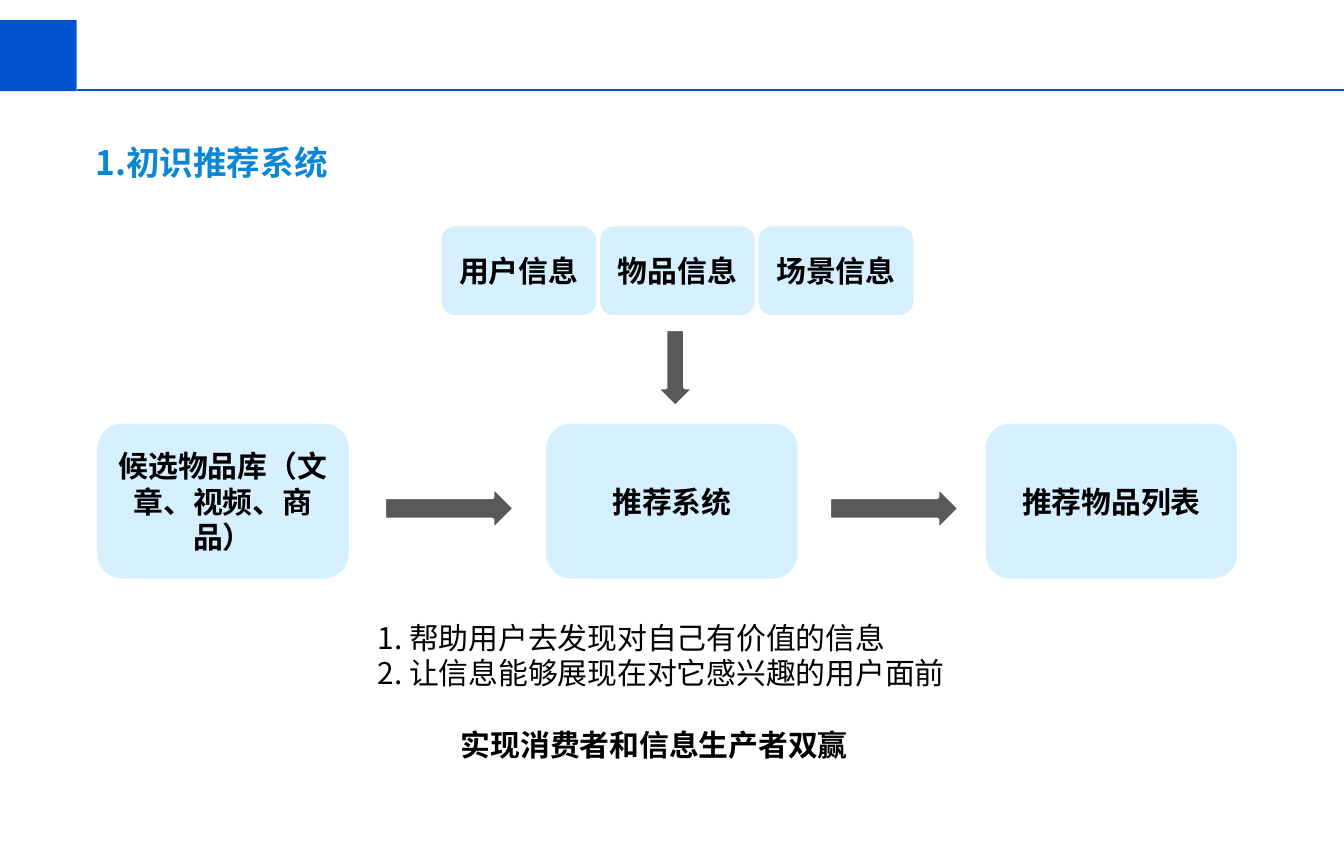
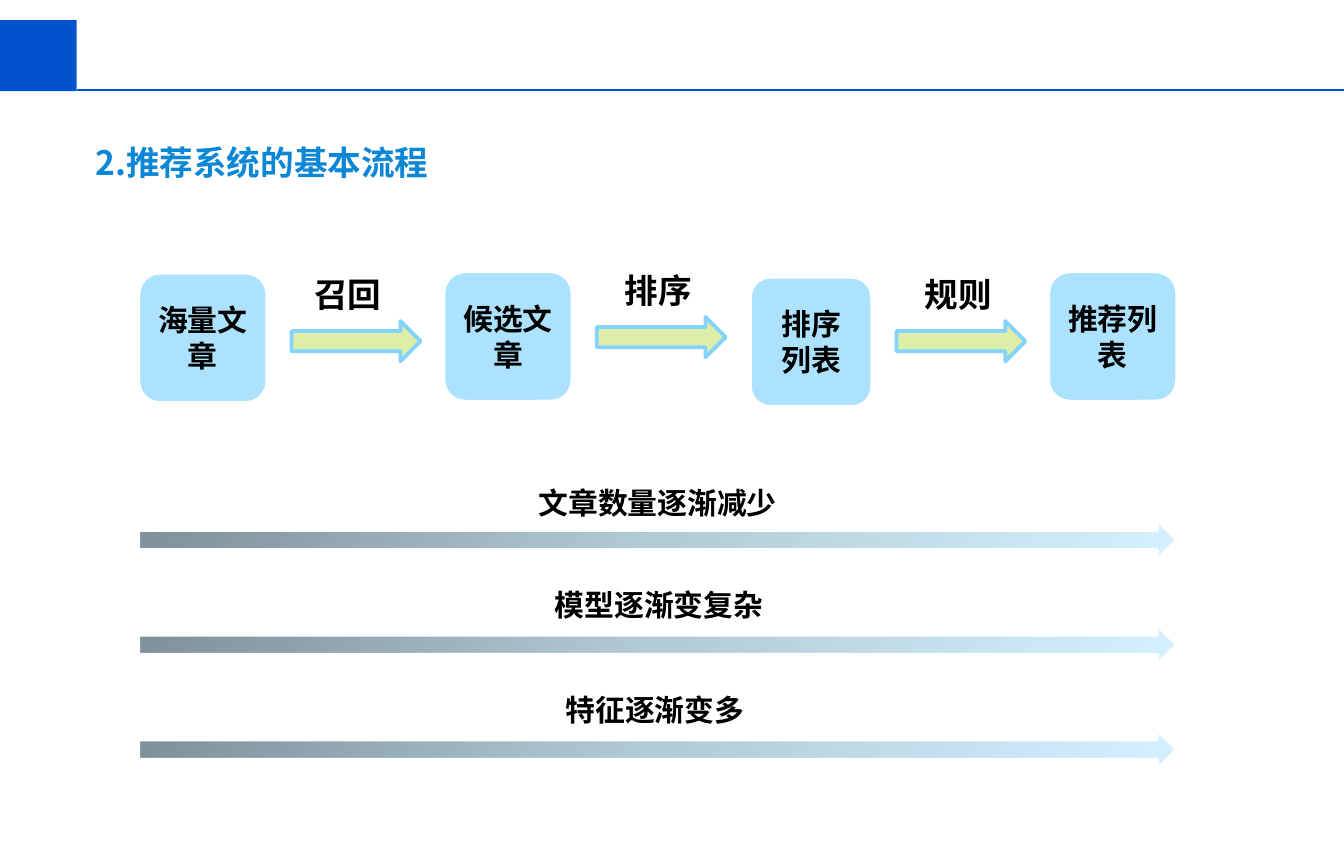
from copy import deepcopy

from pptx import Presentation
from pptx.dml.color import RGBColor
from pptx.enum import shapes, text
from pptx.oxml import ns, xmlchemy
from pptx.util import Inches, Pt

FONT = "Noto Sans CJK SC"
BAND = RGBColor(0x00, 0x53, 0xCC)
TITLE = RGBColor(0x0B, 0x87, 0xD6)
BLACK = RGBColor(0x00, 0x00, 0x00)
WHITE = RGBColor(0xFF, 0xFF, 0xFF)
PALE = RGBColor(0xD6, 0xF0, 0xFF)
SKY = RGBColor(0xAD, 0xE2, 0xFE)
GREY = RGBColor(0x59, 0x59, 0x59)
LIME = RGBColor(0xDC, 0xEE, 0xA7)
LIME_EDGE = RGBColor(0x83, 0xD3, 0xFE)
TREND = (RGBColor(0x7D, 0x8F, 0x99), RGBColor(0xB2, 0xCB, 0xD9), RGBColor(0xD5, 0xF1, 0xFF))

SHAPE = shapes.MSO_SHAPE
ALIGN = text.PP_ALIGN
ANCHOR = text.MSO_ANCHOR


class Deck:
    def __init__(self):
        self.prs = Presentation()
        self.prs.slide_width = Inches(10)
        self.prs.slide_height = Inches(6.26)
        self.s = None

    def slide(self, title, layout):
        first = self.s is None
        self.s = self.prs.slides.add_slide(self.prs.slide_layouts[layout])
        if first:
            self.band()
        sp = self.s.shapes.title
        self.place(sp, 0.61, 1.01, 3.6, 0.4)
        self.set_text(sp, title, 18, TITLE)

    def band(self):
        sp = self.shape(SHAPE.RECTANGLE, 0, 0.15, 0.57, 0.53, BAND)
        line = self.s.shapes.add_connector(
            shapes.MSO_CONNECTOR.STRAIGHT, Inches(0.57), Inches(0.67), Inches(10), Inches(0.67))
        line.line.color.rgb = BAND
        line.line.width = Pt(1)
        line.element.spPr.append(xmlchemy.OxmlElement("a:effectLst"))
        for number, part in enumerate((sp, line), 101):
            part.element.xpath(".//p:cNvPr")[0].set("id", str(number))
            self.prs.slide_master.shapes.element.append(part.element)

    def place(self, sp, x, y, w, h):
        sp.left, sp.top, sp.width, sp.height = map(Inches, (x, y, w, h))

    def set_text(self, sp, words, size=16, color=BLACK, bold=True, align=ALIGN.LEFT, anchor=ANCHOR.TOP):
        tf = sp.text_frame
        tf.text = words
        tf.word_wrap = True
        tf.auto_size = text.MSO_AUTO_SIZE.NONE
        tf.vertical_anchor = anchor
        for p in tf.paragraphs:
            p.alignment = align
            p.space_before = Pt(0)
            for r in p.runs:
                r.font.name = FONT
                r.font.size = Pt(size)
                r.font.bold = bold
                r.font.color.rgb = color
                ea = xmlchemy.OxmlElement("a:ea")
                ea.set("typeface", FONT)
                r.font._element.find(ns.qn("a:latin")).addnext(ea)

    def shape(self, kind, x, y, w, h, fill, edge=None):
        sp = self.s.shapes.add_shape(kind, *map(Inches, (x, y, w, h)))
        sp.shadow.inherit = False
        sp.fill.solid()
        sp.fill.fore_color.rgb = fill
        if edge is None:
            sp.line.fill.background()
        else:
            sp.line.color.rgb = edge
            sp.line.width = Pt(2)
        return sp

    def box(self, words, x, y, w, h, fill):
        sp = self.shape(SHAPE.ROUNDED_RECTANGLE, x, y, w, h, fill, WHITE)
        self.set_text(sp, words, align=ALIGN.CENTER, anchor=ANCHOR.MIDDLE)
        sp.text_frame.margin_left = sp.text_frame.margin_right = Inches(0.08)

    def label(self, words, x, y, w, h=0.37, size=16):
        sp = self.s.shapes.add_textbox(*map(Inches, (x, y, w, h)))
        self.set_text(sp, words, size)

    def items(self, lines, x, y, w, h):
        sp = self.s.placeholders[1]
        self.place(sp, x, y, w, h)
        self.set_text(sp, "\n".join(lines), bold=False)
        for p in sp.text_frame.paragraphs:
            pPr = p._p.get_or_add_pPr()
            pPr.set("marL", "0")
            pPr.set("indent", "0")
            pPr.append(xmlchemy.OxmlElement("a:buNone"))

    def trend(self, words, x, w, y, label_y):
        sp = self.shape(SHAPE.RIGHT_ARROW, 1.03, y, 7.73, 0.3, WHITE, WHITE)
        sp.fill.gradient()
        sp.fill.gradient_angle = 315
        stops = sp.element.spPr.find(".//" + ns.qn("a:gsLst"))
        stops.append(deepcopy(stops[0]))
        for i, (stop, color) in enumerate(zip(sp.fill.gradient_stops, TREND)):
            stop.position = i / 2
            stop.color.rgb = color
        self.label(words, x, label_y, w)


def overview(deck):
    deck.slide("1.初识推荐系统", 1)
    for words, x in (("候选物品库（文章、视频、商品）", 0.71), ("推荐系统", 4.05), ("推荐物品列表", 7.32)):
        deck.box(words, x, 3.14, 1.9, 1.18, PALE)
    for i, words in enumerate(("用户信息", "物品信息", "场景信息")):
        deck.box(words, 3.27 + 1.18 * i, 1.67, 1.18, 0.69, PALE)
    deck.shape(SHAPE.DOWN_ARROW, 4.88, 2.45, 0.29, 0.58, GREY, WHITE)
    for x in (2.86, 6.17):
        deck.shape(SHAPE.RIGHT_ARROW, x, 3.62, 0.97, 0.33, GREY, WHITE)
    deck.items(("1. 帮助用户去发现对自己有价值的信息", "2. 让信息能够展现在对它感兴趣的用户面前"),
               2.71, 4.56, 4.63, 0.64)
    deck.label("实现消费者和信息生产者双赢", 3.33, 5.36, 3.18)


def process(deck):
    deck.slide("2.推荐系统的基本流程", 5)
    for words, x, y, w in (("海量文章", 1.03, 2.03, 0.96), ("候选文章", 3.3, 2.02, 0.96),
                           ("排序列表", 5.58, 2.06, 0.91), ("推荐列表", 7.8, 2.02, 0.96)):
        deck.box(words, x, y, w, 0.97, SKY)
    for words, x, y, label_x in (("召回", 2.17, 2.39, 2.24), ("排序", 4.44, 2.36, 4.55),
                                 ("规则", 6.67, 2.39, 6.78)):
        deck.shape(SHAPE.RIGHT_ARROW, x, y, 0.96, 0.3, LIME, LIME_EDGE)
        deck.label(words, label_x, y - 0.4, 0.72, 0.4, 18)
    trends = (("文章数量逐渐减少", 3.91, 2.02, 3.56), ("模型逐渐变复杂", 4.03, 1.77, 4.32),
              ("特征逐渐变多", 4.11, 1.62, 5.1))
    for i, (words, x, w, label_y) in enumerate(trends):
        deck.trend(words, x, w, 3.87 + 0.78 * i, label_y)


def main():
    deck = Deck()
    overview(deck)
    process(deck)
    deck.prs.save("out.pptx")


if __name__ == "__main__":
    main()
